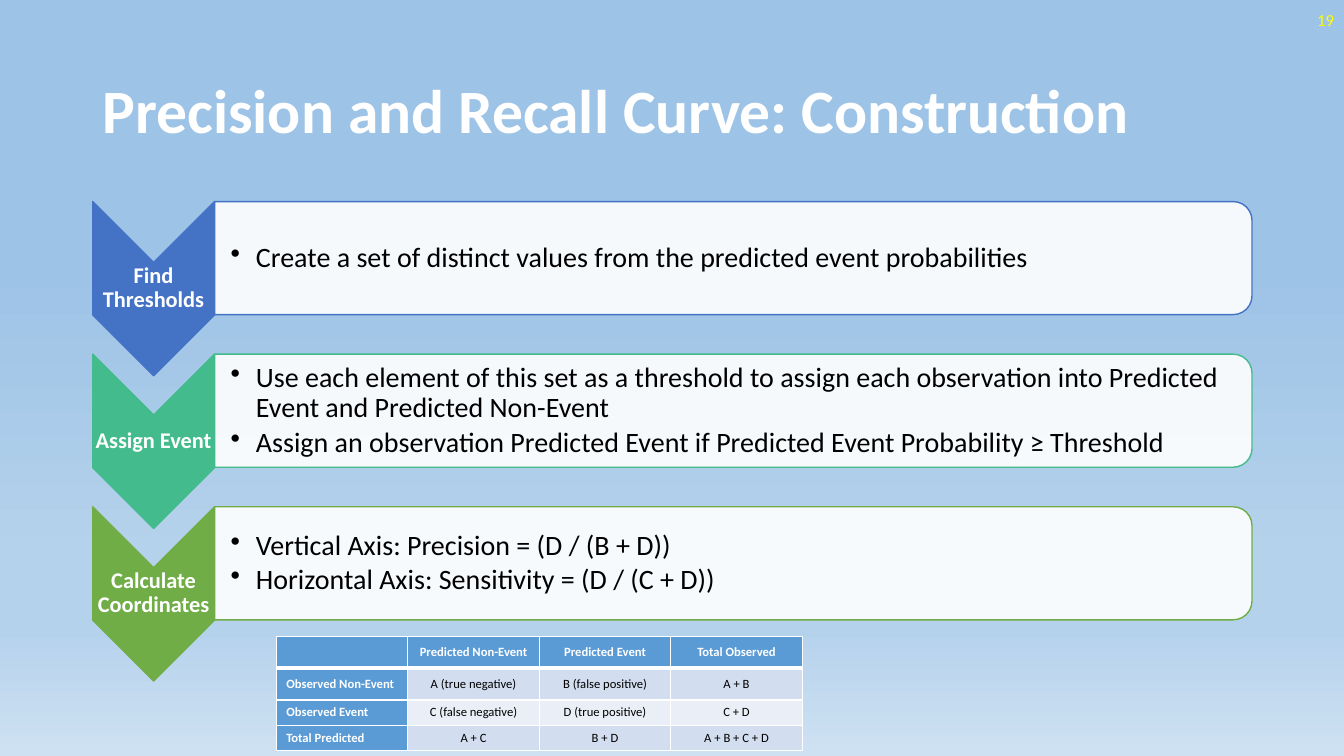
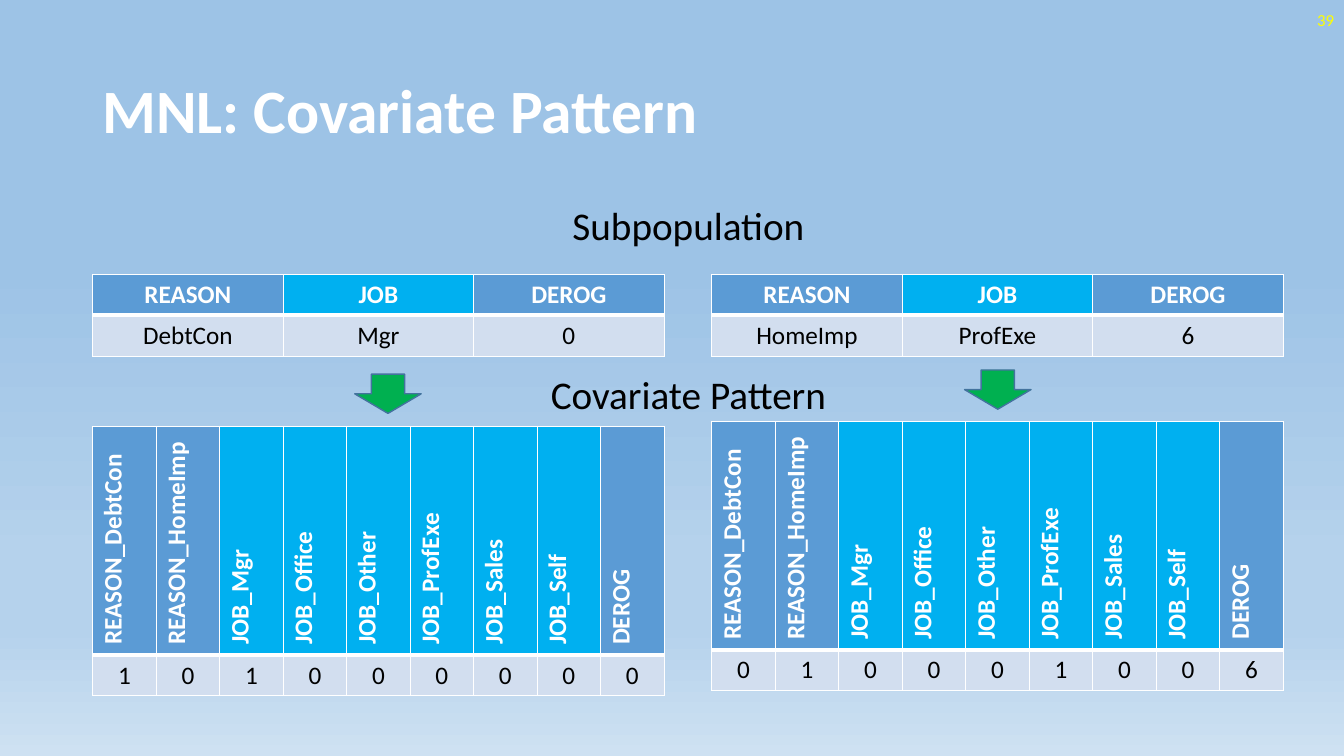
from dataclasses import dataclass

from lxml.etree import SubElement
from pptx import Presentation
from pptx.dml.color import RGBColor
from pptx.enum.shapes import MSO_SHAPE
from pptx.enum.text import MSO_ANCHOR, PP_ALIGN
from pptx.oxml.ns import qn
from pptx.util import Pt


@dataclass(frozen=True)
class Theme:
    font: str = "Calibri"
    white: str = "FFFFFF"
    black: str = "000000"
    number: str = "FFFF00"
    header: str = "5B9BD5"
    job: str = "00B0F0"
    bands: tuple = ("D2DEEF", "EAEFF7")
    steps: tuple = ("4472C4", "43BB8D", "70AD47")
    arrow: str = "00B050"
    arrow_line: str = "43739E"
    sky: tuple = ((35, "9DC3E6"), (74, "B5D2EC"), (83, "B5D2EC"), (100, "CEE1F2"))
    title_size: float = 44
    heading_size: float = 28
    body_size: float = 20
    cell_size: float = 18
    label_size: float = 16
    number_size: float = 12
    small_size: float = 9


T = Theme()
LEFT = 66.2
TOP = 144
BLANK = 6


def rgb(color):
    return RGBColor.from_string(color)


def box_pt(box):
    return [Pt(v) for v in box]


# Text
def write(tf, text, size=T.body_size, color=T.black, bold=False,
          align=PP_ALIGN.LEFT, spacing=None, after=None, bullet=False):
    lines = [text] if isinstance(text, str) else text
    for i, line in enumerate(lines):
        p = tf.paragraphs[0] if i == 0 else tf.add_paragraph()
        p.alignment = align
        if bullet:
            pPr = p._p.get_or_add_pPr()
            pPr.set("marL", str(Pt(18)))
            pPr.set("indent", str(-Pt(18)))
            SubElement(pPr, qn("a:buChar")).set("char", "•")
        if spacing:
            p.line_spacing = spacing
        if after:
            p.space_after = Pt(after)
        if not line:
            p._p.get_or_add_endParaRPr().set("sz", str(size * 100))
            continue
        r = p.add_run()
        r.text = line
        r.font.name = T.font
        r.font.size = Pt(size)
        r.font.bold = bold
        r.font.color.rgb = rgb(color)


def text_box(slide, box, text, anchor=MSO_ANCHOR.MIDDLE,
             margins=(7.2, 3.6, 7.2, 3.6), **fmt):
    tf = slide.shapes.add_textbox(*box_pt(box)).text_frame
    tf.word_wrap = True
    tf.vertical_anchor = anchor
    (tf.margin_left, tf.margin_top,
     tf.margin_right, tf.margin_bottom) = box_pt(margins)
    write(tf, text, **fmt)


# Shapes
def add_shape(slide, kind, box, fill, line, alpha=None):
    sp = slide.shapes.add_shape(kind, *box_pt(box))
    sp.shadow.inherit = False
    sp.fill.solid()
    sp.fill.fore_color.rgb = rgb(fill)
    if alpha:
        clr = sp._element.spPr.find(qn("a:solidFill"))[0]
        SubElement(clr, qn("a:alpha")).set("val", str(alpha * 1000))
    sp.line.color.rgb = rgb(line)
    sp.line.width = Pt(1)
    return sp


def add_turned(slide, kind, box, fill, line, alpha=None):
    """Add a shape turned a quarter clockwise that covers the given box."""
    x, y, w, h = box
    shift = (w - h) / 2
    sp = add_shape(slide, kind, (x + shift, y - shift, h, w), fill, line, alpha)
    sp.rotation = 90


def add_step(slide, y, color, label, points):
    add_turned(slide, MSO_SHAPE.CHEVRON, (LEFT, y, 87, 124.5), color, color)
    text_box(slide, (LEFT, y + 43.2, 87, 37.4), label, margins=[0.72] * 4,
             size=T.label_size, color=T.white, bold=True,
             align=PP_ALIGN.CENTER, spacing=0.9, after=5.6)
    add_turned(slide, MSO_SHAPE.ROUND_2_SAME_RECTANGLE,
               (153.3, y, 741, 80.8), T.white, color, alpha=90)
    text_box(slide, (153.3, y + 4, 737, 73), points,
             margins=(11.5, 0.72, 0.72, 0.72), bullet=True,
             spacing=0.9, after=3)


# Tables
def set_borders(cell, row):
    tcPr = cell._tc.get_or_add_tcPr()
    widths = {"L": 1, "R": 1, "T": 3 if row == 1 else 1, "B": 3 if row == 0 else 1}
    for side, width in widths.items():
        ln = SubElement(tcPr, qn(f"a:ln{side}"))
        ln.set("w", str(Pt(width)))
        SubElement(SubElement(ln, qn("a:solidFill")),
                   qn("a:srgbClr")).set("val", T.white)


def add_grid(slide, x, y, width, heights, rows, size=T.cell_size,
             side_header=False, upright=False):
    cols = len(rows[0])
    table = slide.shapes.add_table(
        len(rows), cols, *box_pt((x, y, width, sum(heights)))).table
    for column in table.columns:
        column.width = Pt(width / cols)
    for i, (height, row) in enumerate(zip(heights, rows)):
        table.rows[i].height = Pt(height)
        for j, text in enumerate(row):
            cell = table.cell(i, j)
            is_side = side_header and j == 0
            is_header = i == 0 or is_side
            turned = upright and i == 0
            if is_header:
                fill = T.job if text.startswith("JOB") else T.header
            else:
                fill = T.bands[(i - 1) % 2]
            set_borders(cell, i)
            cell.fill.solid()
            cell.fill.fore_color.rgb = rgb(fill)
            cell.vertical_anchor = MSO_ANCHOR.MIDDLE
            if turned:
                cell._tc.tcPr.set("vert", "vert270")
            write(cell.text_frame, text, size=size, bold=is_header,
                  color=T.white if is_header else T.black,
                  align=PP_ALIGN.LEFT if turned or is_side else PP_ALIGN.CENTER)


# Parts that the slides share
def set_background(master):
    fill = master.background.fill
    fill.gradient()
    fill.gradient_angle = 270
    stops = master.element.find(".//" + qn("a:gsLst"))
    for stop in list(stops):
        stops.remove(stop)
    for pos, color in T.sky:
        gs = SubElement(stops, qn("a:gs"))
        gs.set("pos", str(pos * 1000))
        SubElement(gs, qn("a:srgbClr")).set("val", color)


def new_slide(prs, title, number):
    slide = prs.slides.add_slide(prs.slide_layouts[BLANK])
    text_box(slide, (LEFT, 28.8, 828, 104.4), title, size=T.title_size,
             color=T.white, bold=True, spacing=0.9)
    text_box(slide, (744, 0, 216, 28.8), number, size=T.number_size,
             color=T.number, align=PP_ALIGN.RIGHT)
    return slide


# Slides
def curve_slide(prs):
    slide = new_slide(prs, "Precision and Recall Curve: Construction", "19")
    steps = [
        ("Find Thresholds",
         ["Create a set of distinct values from the predicted event probabilities"]),
        ("Assign Event",
         ["Use each element of this set as a threshold to assign each observation "
          "into Predicted Event and Predicted Non-Event",
          "Assign an observation Predicted Event if Predicted Event Probability "
          "≥ Threshold"]),
        ("Calculate Coordinates",
         ["Vertical Axis: Precision = (D / (B + D))",
          "Horizontal Axis: Sensitivity = (D / (C + D))"]),
    ]
    for i, (label, points) in enumerate(steps):
        add_step(slide, TOP + 109 * i, T.steps[i], label, points)
    add_grid(slide, 197.3, 454.5, 375.8, [22.75, 22.75, 18, 18], [
        ["", "Predicted Non-Event", "Predicted Event", "Total Observed"],
        ["Observed Non-Event", "A (true negative)", "B (false positive)", "A + B"],
        ["Observed Event", "C (false negative)", "D (true positive)", "C + D"],
        ["Total Predicted", "A + C", "B + D", "A + B + C + D"],
    ], size=T.small_size, side_header=True)


def pattern_slide(prs):
    slide = new_slide(prs, "MNL: Covariate Pattern", "39")
    for y, heading in ((TOP, "Subpopulation"), (265, "Covariate Pattern")):
        text_box(slide, (LEFT, y, 851, 40), heading, anchor=MSO_ANCHOR.TOP,
                 size=T.heading_size, align=PP_ALIGN.CENTER, spacing=0.9)
    fields = ["REASON", "JOB", "DEROG"]
    reasons = ["DebtCon", "HomeImp"]
    jobs = ["Mgr", "Office", "Other", "ProfExe", "Sales", "Self"]
    names = ([f"REASON_{v}" for v in reasons] + [f"JOB_{v}" for v in jobs]
             + ["DEROG"])
    # Table left, pattern top, arrow left and top, then the field values
    cases = [
        (LEFT, 304.6, 253.4, 267.3, ("DebtCon", "Mgr", "0")),
        (508.4, 301, 689, 264.3, ("HomeImp", "ProfExe", "6")),
    ]
    for x, y, arrow_x, arrow_y, values in cases:
        reason, job, derog = values
        flags = [str(int(v in (reason, job))) for v in reasons + jobs] + [derog]
        add_grid(slide, x, y, 408.2, [163.2, 29.2], [names, flags], upright=True)
        add_grid(slide, x, 196, 408.2, [29.2, 29.2], [fields, values])
        add_shape(slide, MSO_SHAPE.DOWN_ARROW, (arrow_x, arrow_y, 47.5, 28),
                  T.arrow, T.arrow_line)


def main():
    prs = Presentation()
    prs.slide_width, prs.slide_height = Pt(960), Pt(540)
    set_background(prs.slide_master)
    curve_slide(prs)
    pattern_slide(prs)
    prs.save("out.pptx")


if __name__ == "__main__":
    main()
